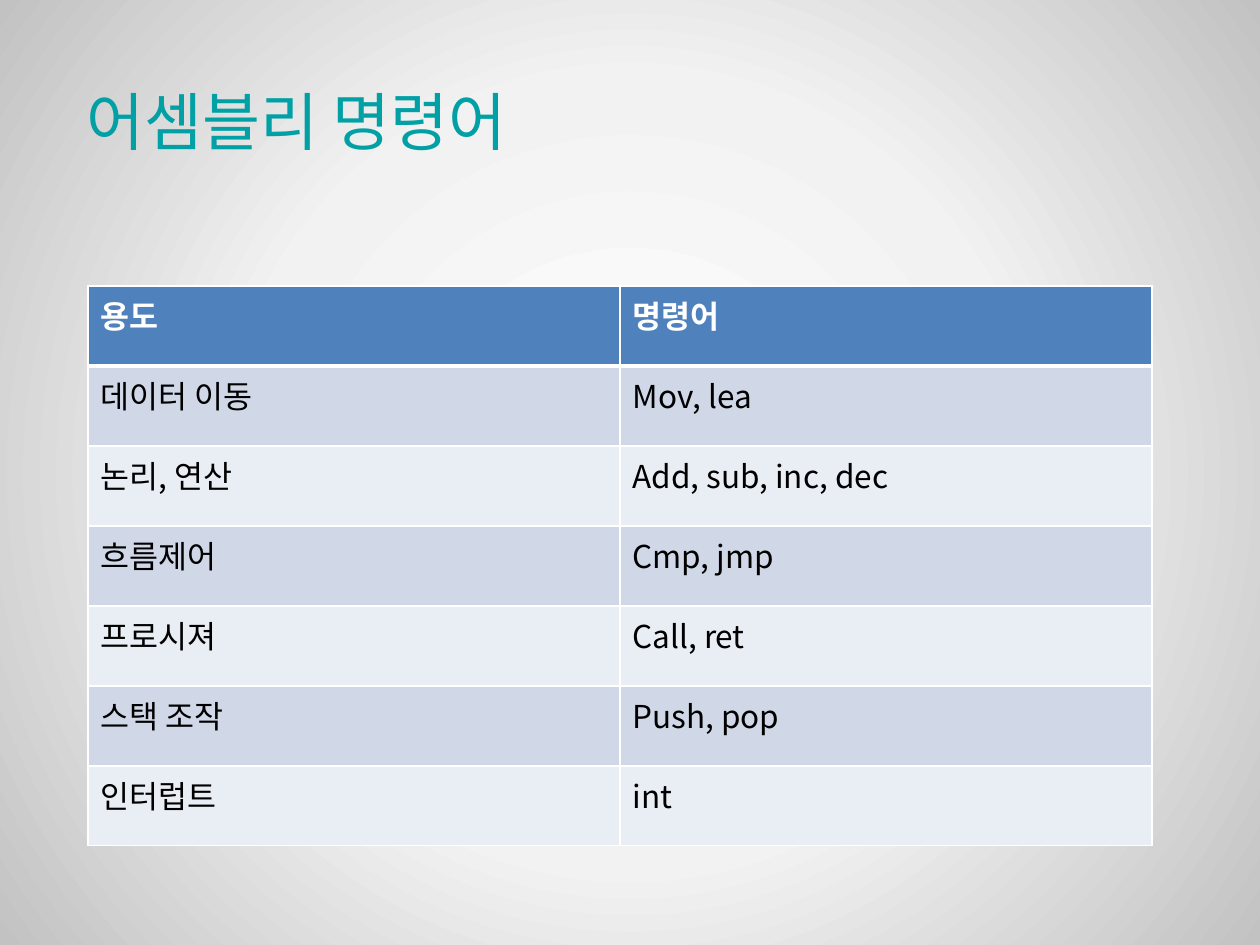
"""Build a slide with a titled table of assembly instructions by purpose."""
from lxml.etree import SubElement
from pptx import Presentation
from pptx.dml.color import RGBColor
from pptx.enum.text import MSO_ANCHOR, MSO_AUTO_SIZE, PP_ALIGN
from pptx.oxml import parse_xml
from pptx.oxml.ns import nsdecls, qn
from pptx.util import Pt

TITLE = "어셈블리 명령어"
ROWS = [
    ("용도", "명령어"),
    ("데이터 이동", "Mov, lea"),
    ("논리, 연산", "Add, sub, inc, dec"),
    ("흐름제어", "Cmp, jmp"),
    ("프로시져", "Call, ret"),
    ("스택 조작", "Push, pop"),
    ("인터럽트", "int"),
]
STOPS = [(0, "FFFFFF"), (50, "F2F2F2"), (100, "C2C2C2")]
FONT = "Noto Sans CJK KR"
TEAL = RGBColor(0x00, 0xA0, 0xA5)
BLUE = RGBColor(0x4F, 0x81, 0xBD)
BANDS = [RGBColor(0xD0, 0xD8, 0xE8), RGBColor(0xE9, 0xED, 0xF4)]
WHITE = RGBColor(0xFF, 0xFF, 0xFF)
BLACK = RGBColor(0x00, 0x00, 0x00)
SCALE = 914400 / 126
COL, ROW = 532, 80


def px(n):
    return round(n * SCALE)


def write(frame, text, size=18, color=BLACK, bold=False):
    para = frame.paragraphs[0]
    para.alignment = PP_ALIGN.LEFT
    run = para.add_run()
    run.text = text
    font = run.font
    font.size, font.bold, font.name = Pt(size), bold, FONT
    font.color.rgb = color
    SubElement(font._element, qn("a:ea"), typeface=FONT)


def edge(cell, side, width):
    line = SubElement(cell._tc.get_or_add_tcPr(), qn(f"a:ln{side}"), w=str(Pt(width)))
    fill = SubElement(line, qn("a:solidFill"))
    SubElement(fill, qn("a:srgbClr"), val=str(WHITE))


def paint(slide):
    stops = "".join(
        f'<a:gs pos="{pos * 1000}"><a:srgbClr val="{color}"/></a:gs>'
        for pos, color in STOPS
    )
    slide._element.cSld.insert(0, parse_xml(
        f'<p:bg {nsdecls("p", "a")}><p:bgPr><a:gradFill rotWithShape="1">'
        f'<a:gsLst>{stops}</a:gsLst><a:path path="circle">'
        '<a:fillToRect l="50000" t="50000" r="50000" b="50000"/></a:path>'
        '</a:gradFill><a:effectLst/></p:bgPr></p:bg>'
    ))


def head(slide):
    title = slide.shapes.title
    title.left, title.top, title.width, title.height = map(px, (74, 76, 585, 89))
    frame = title.text_frame
    frame.word_wrap = False
    frame.auto_size = MSO_AUTO_SIZE.SHAPE_TO_FIT_TEXT
    frame.vertical_anchor = MSO_ANCHOR.TOP
    write(frame, TITLE, size=36, color=TEAL)


def grid(slide):
    count = len(ROWS)
    table = slide.shapes.add_table(
        count, 2, px(88), px(286), px(2 * COL), px(count * ROW)
    ).table
    for r, row in enumerate(ROWS):
        top = r == 0
        for c, text in enumerate(row):
            cell = table.cell(r, c)
            for side in "LRTB":
                thick = (r, side) in ((0, "B"), (1, "T"))
                edge(cell, side, 3 if thick else 1)
            cell.fill.solid()
            cell.fill.fore_color.rgb = BLUE if top else BANDS[(r - 1) % 2]
            write(cell.text_frame, text, color=WHITE if top else BLACK, bold=top)


def main():
    deck = Presentation()
    deck.slide_width, deck.slide_height = px(1260), px(945)
    slide = deck.slides.add_slide(deck.slide_layouts[5])
    paint(slide)
    head(slide)
    grid(slide)
    deck.save("out.pptx")


if __name__ == "__main__":
    main()
